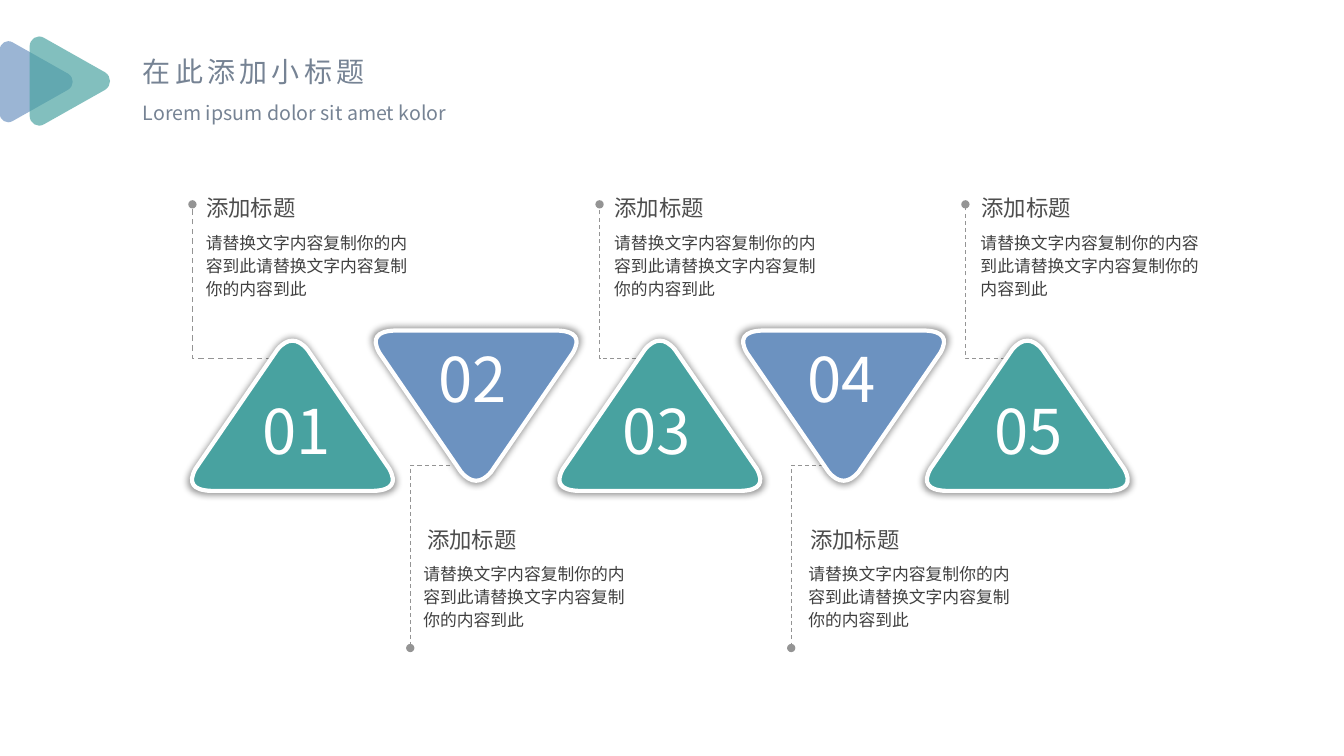
from dataclasses import dataclass

from lxml import etree
from pptx import Presentation
from pptx.dml.color import RGBColor
from pptx.enum.dml import MSO_LINE
from pptx.enum.text import MSO_ANCHOR, MSO_AUTO_SIZE, PP_ALIGN
from pptx.oxml.ns import qn
from pptx.util import Cm, Pt

DASH = MSO_LINE.DASH
MIDDLE = MSO_ANCHOR.MIDDLE
FIXED = MSO_AUTO_SIZE.NONE
LEFT = PP_ALIGN.LEFT


@dataclass(frozen=True)
class Theme:
    """Colours, type sizes and font of the slide."""
    font: str = "Noto Sans CJK SC"
    teal: str = "48A2A0"
    blue: str = "6C92C0"
    white: str = "FFFFFF"
    black: str = "000000"
    slate: str = "768394"
    heading: str = "4D4D4D"
    body: str = "404040"
    leader: str = "949494"
    title_size: int = 20
    subtitle_size: int = 14
    heading_size: int = 16
    body_size: int = 12
    number_size: int = 44
    body_leading: float = 16.4


THEME = Theme()
BODY = "请替换文字内容复制你的内容到此" * 2
STEP_PITCH = 4.63
FIRST_CENTRE = 7.37

STEP_APEX = [(0.3, -0.38), (0, -0.13), (0, 0.13), (0.3, 0.38)]
STEP_CORNER = [(3.3, 2.44), (3.66, 2.64), (3.84, 2.51), (3.86, 2.06)]
ARROW_APEX = [(0.15, -0.2), (0, -0.1), (0, 0.1), (0.15, 0.2)]
ARROW_CORNER = [(1.55, 0.99), (1.7, 1.08), (1.88, 0.97), (1.88, 0.79)]

UP = {"sign": 1, "tip": 8.51, "number": 9.78, "heading": 4.75, "body": 5.68,
      "bend": 9.04, "dot": 5.15, "color": THEME.teal}
DOWN = {"sign": -1, "tip": 12.19, "number": 8.46, "heading": 13.13, "body": 14.03,
        "bend": 11.73, "dot": 16.33, "color": THEME.blue}

STEPS = [
    {"number": 6.36, "heading": 4.95, "body": 4.94, "width": 5.97, "leader": (7.19, 4.85), "weight": 1},
    {"number": 10.8, "heading": 10.52, "body": 10.42, "width": 5.97, "leader": (11.99, 10.34), "weight": 0.75},
    {"number": 15.44, "heading": 15.24, "body": 15.23, "width": 5.97, "leader": (16.48, 15.11), "weight": 0.75},
    {"number": 20.09, "heading": 20.17, "body": 20.12, "width": 5.97, "leader": (21.21, 19.94), "weight": 0.75},
    {"number": 24.82, "heading": 24.49, "body": 24.46, "width": 6.38, "leader": (25.78, 24.33), "weight": 0.75},
]


def add_outline(parent, points, close=True):
    """Add a shadowless freeform through points in centimetres."""
    spots = [(Cm(x), Cm(y)) for x, y in points]
    builder = parent.shapes.build_freeform(*spots[0], scale=1.0)
    builder.add_line_segments(spots[1:], close=close)
    shape = builder.convert_to_shape()
    shape.shadow.inherit = False
    return shape


def add_triangle(parent, centre, tip, apex, corner, sign=1, scale=1):
    """Add a triangle whose three corners are cubic curves."""
    mirrored = [(depth, -half) for depth, half in reversed(corner)]
    shape = add_outline(parent, [(centre + half * scale, tip + sign * depth * scale)
                                 for depth, half in apex + corner + mirrored])
    lines = list(shape._element.spPr.iter(qn("a:lnTo")))
    for first in (0, 4, 8):
        start, *others = lines[first:first + 3]
        start.tag = qn("a:cubicBezTo")
        for line in others:
            start.append(line[0])
            line.getparent().remove(line)
    return shape


def paint(shape, color):
    """Give a shape a solid fill."""
    shape.fill.solid()
    shape.fill.fore_color.rgb = RGBColor.from_string(color)


def stroke(shape, color, **formats):
    """Give a shape a solid line with the stated formats."""
    shape.line.fill.solid()
    shape.line.fill.fore_color.rgb = RGBColor.from_string(color)
    for name, value in formats.items():
        setattr(shape.line, name, value)


def set_alpha(parent, percent):
    """Set the opacity of the first colour below an element."""
    color = next(parent.iter(qn("a:srgbClr")))
    etree.SubElement(color, qn("a:alpha"), val=str(percent * 1000))


def add_glow(shape):
    """Add a soft centred shadow slightly larger than the shape."""
    effects = shape._element.spPr.find(qn("a:effectLst"))
    shadow = etree.SubElement(effects, qn("a:outerShdw"), blurRad=str(Pt(5)),
                              sx="102000", sy="102000", algn="ctr", rotWithShape="0")
    etree.SubElement(shadow, qn("a:srgbClr"), val=THEME.black)
    set_alpha(shadow, 40)


def write(box, text, size, color, wrap=False, leading=None, tracking=None):
    """Fill a text box or placeholder with one formatted paragraph."""
    frame = box.text_frame
    for name, value in {"word_wrap": wrap, "auto_size": FIXED, "vertical_anchor": MIDDLE,
                        "margin_left": Cm(0.25), "margin_right": Cm(0.25),
                        "margin_top": Cm(0.13), "margin_bottom": Cm(0.13)}.items():
        setattr(frame, name, value)
    para = frame.paragraphs[0]
    para.alignment = LEFT
    para.line_spacing = Pt(leading) if leading else 1.0
    span = para.add_run()
    span.text = text
    for name, value in {"name": THEME.font, "size": Pt(size), "bold": False}.items():
        setattr(span.font, name, value)
    span.font.color.rgb = RGBColor.from_string(color)
    properties = span._r.get_or_add_rPr()
    etree.SubElement(properties, qn("a:ea"), typeface=THEME.font)
    if tracking:
        properties.set("spc", str(tracking * 100))


def add_text(parent, place, *content, **formats):
    """Add a text box at a place given in centimetres."""
    box = parent.shapes.add_textbox(*map(Cm, place))
    write(box, *content, **formats)


def add_header(page):
    """Add the title, subtitle and overlapping arrows."""
    title = page.shapes.title
    for name, value in {"left": 3.35, "top": 1.24, "width": 6.25, "height": 1.12}.items():
        setattr(title, name, Cm(value))
    write(title, "在此添加小标题", THEME.title_size, THEME.slate, tracking=3)
    add_text(page, (3.35, 2.41, 8.2, 0.86), "Lorem ipsum dolor sit amet kolor",
             THEME.subtitle_size, THEME.slate)
    group = page.shapes.add_group_shape()
    for centre, tip, scale, color in ((0.93, 1.12, 1, THEME.blue), (1.78, 1.01, 1.1, THEME.teal)):
        arrow = add_triangle(group, centre, tip, ARROW_APEX, ARROW_CORNER, scale=scale)
        arrow.rotation = 90
        paint(arrow, color)
        set_alpha(arrow._element.spPr, 68)
        arrow.line.fill.background()


def add_leader(page, step, row):
    """Add a dashed elbow line with round ends."""
    start, end = step["leader"]
    leader = add_outline(page, [(start, row["bend"]), (end, row["bend"]), (end, row["dot"])], close=False)
    leader.fill.background()
    stroke(leader, THEME.leader, width=Pt(step["weight"]), dash_style=DASH)
    line = leader._element.spPr.find(qn("a:ln"))
    for tag in ("a:headEnd", "a:tailEnd"):
        etree.SubElement(line, qn(tag), type="oval")


def add_step(page, index, step, row):
    """Add a numbered triangle."""
    group = page.shapes.add_group_shape()
    triangle = add_triangle(group, FIRST_CENTRE + index * STEP_PITCH, row["tip"],
                            STEP_APEX, STEP_CORNER, sign=row["sign"])
    paint(triangle, row["color"])
    stroke(triangle, THEME.white, width=Pt(3))
    add_glow(triangle)
    add_text(group, (step["number"], row["number"], 2.24, 2.13), f"{index + 1:02}",
             THEME.number_size, THEME.white)


def add_caption(page, step, row):
    """Add the description and heading of a step."""
    group = page.shapes.add_group_shape()
    add_text(group, (step["body"], row["body"], step["width"], 1.96), BODY,
             THEME.body_size, THEME.body, wrap=True, leading=THEME.body_leading)
    add_text(group, (step["heading"], row["heading"], 2.84, 0.94), "添加标题",
             THEME.heading_size, THEME.heading)


def main():
    """Build and save the slide."""
    deck = Presentation()
    deck.slide_width, deck.slide_height = Cm(33.87), Cm(19.05)
    page = deck.slides.add_slide(deck.slide_layouts[5])
    add_header(page)
    rows = [(UP, DOWN)[index % 2] for index in range(len(STEPS))]
    for step, row in zip(STEPS, rows):
        add_leader(page, step, row)
    for index, (step, row) in enumerate(zip(STEPS, rows)):
        add_step(page, index, step, row)
        add_caption(page, step, row)
    deck.save("out.pptx")


if __name__ == "__main__":
    main()
